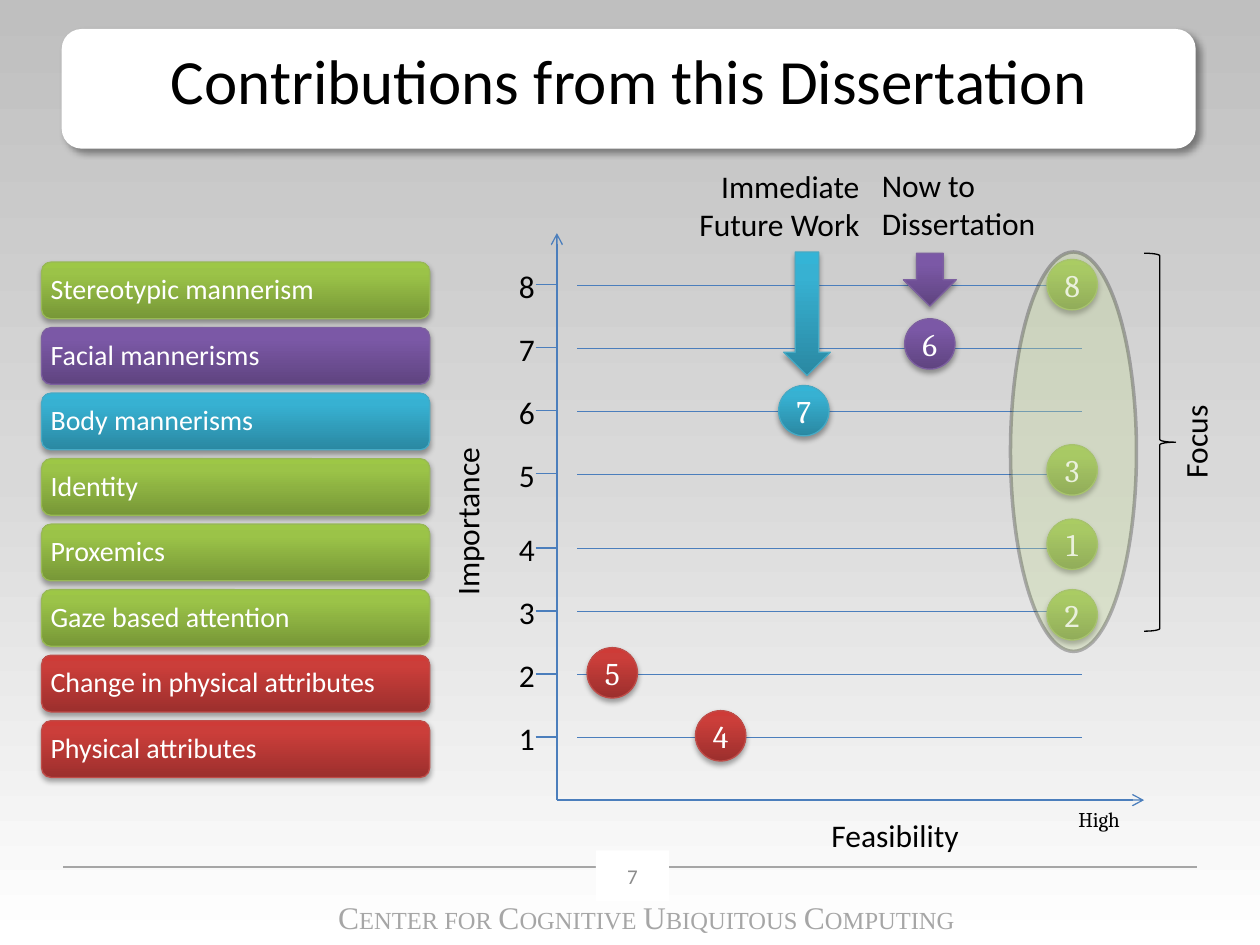
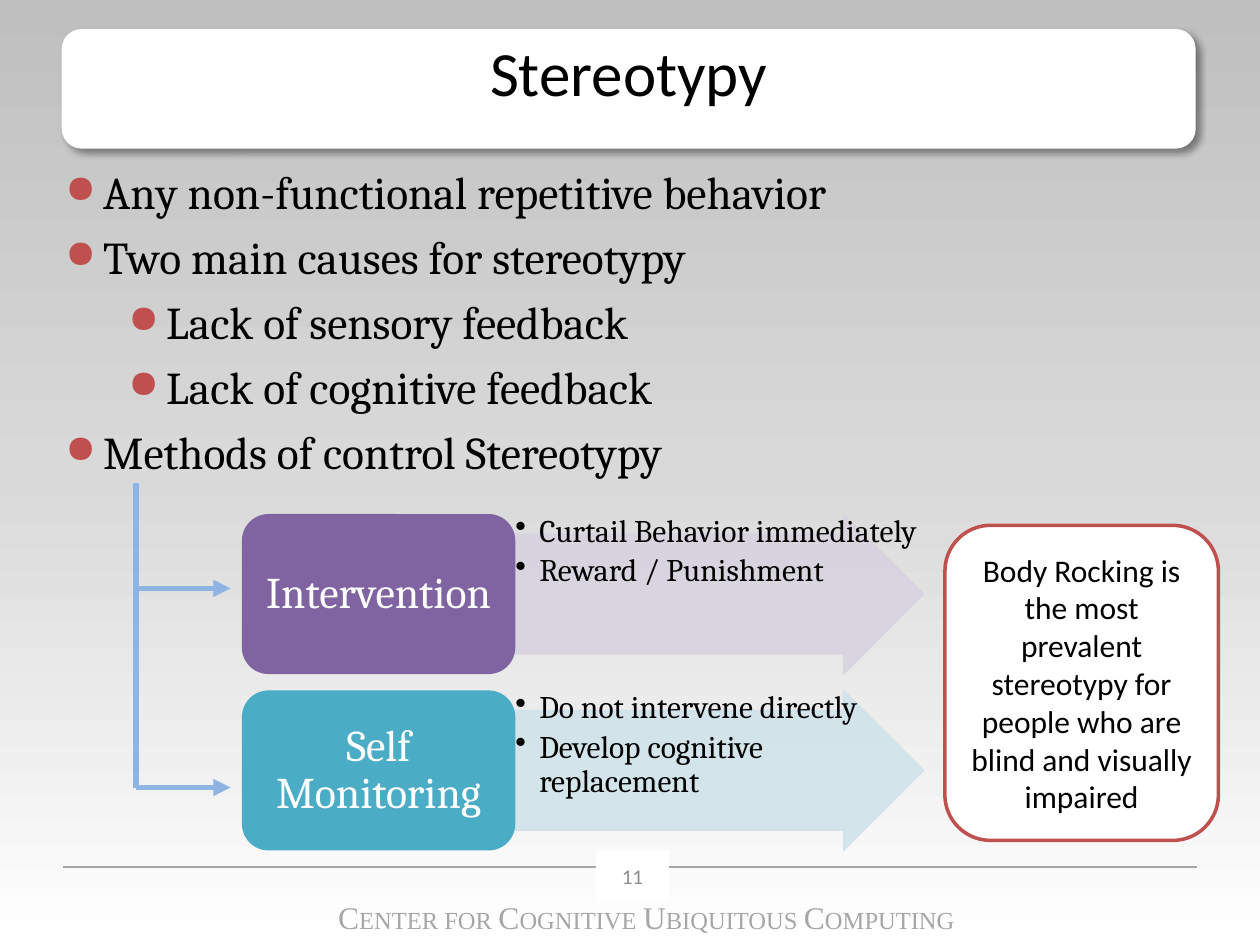
"""Build two dissertation slides: a contribution map and a stereotypy overview."""
from dataclasses import dataclass
from typing import NamedTuple, Optional

from lxml.etree import SubElement
from pptx import Presentation
from pptx.dml.color import RGBColor
from pptx.enum.dml import MSO_LINE
from pptx.enum.shapes import MSO_CONNECTOR, MSO_SHAPE as Shape
from pptx.enum.text import MSO_ANCHOR as Anchor, PP_ALIGN as Align
from pptx.oxml.ns import qn
from pptx.util import Emu, Inches, Pt

COLS, ROWS = 100, 75
WIDTH, HEIGHT = Inches(10), Inches(7.5)
COLORS = {
    "black": "000000", "white": "FFFFFF", "footer": "A6A6A6", "number": "8C8C8C",
    "back_top": "BFBFBF", "back_mid": "D9D9D9", "axis": "4B7EBC", "branch": "8EB4E3",
    "accent": "C0504D", "focus": "C3D69B", "violet": "8064A2", "aqua": "4BACC6",
    "violet_pale": "D8D3E0", "aqua_pale": "D0E3EA",
    "green_low": "779737", "green_mid": "9BC348", "green_high": "9DC746", "green_edge": "98B955",
    "purple_low": "5F4480", "purple_mid": "7B58A6", "purple_high": "7C57A8", "purple_edge": "7D60A0",
    "blue_low": "2A88A2", "blue_mid": "37B1D2", "blue_high": "34B4D6", "blue_edge": "46AAC5",
    "red_low": "9C2F2D", "red_mid": "CB3E3A", "red_high": "CE3B37", "red_edge": "BF4C48",
}


class Box(NamedTuple):
    left: float
    top: float
    width: float
    height: float


class Style(NamedTuple):
    size: float
    font: str = "Calibri"
    color: str = "black"
    align: Align = Align.LEFT
    anchor: Anchor = Anchor.TOP
    spacing: Optional[float] = None


class Shadow(NamedTuple):
    alpha: int
    blur: float
    distance: float
    angle: int


class Bullet(NamedTuple):
    char: str
    hang: float
    color: str = "black"
    percent: int = 100


class Marker(NamedTuple):
    label: str
    left: float
    top: float
    hue: str


@dataclass
class Method:
    name: str
    color: str
    points: list[str]


TITLE = Style(36, align=Align.CENTER)
NUMBER = Style(12, color="number", align=Align.CENTER, anchor=Anchor.MIDDLE)
LABEL = Style(18)
CARD = Style(16, color="white", anchor=Anchor.MIDDLE, spacing=0.9)
DIGIT = Style(18, "Cambria", "white", Align.CENTER, Anchor.MIDDLE)
METHOD = Style(25, "Cambria", "white", Align.CENTER, Anchor.MIDDLE, 0.9)
POINT = Style(18, "Cambria", spacing=0.9)
BODY = Style(26, "Cambria")
NOTE = Style(18, align=Align.CENTER, anchor=Anchor.MIDDLE)
BAND_SHADOW = Shadow(40, 4, 3, 45)
GLOSS_SHADOW = Shadow(35, 3.1, 1.8, 90)


def rgb(name: str) -> RGBColor:
    """Look a colour up by name."""
    return RGBColor.from_string(COLORS[name])


def col(n: float) -> Emu:
    """Turn columns into a length."""
    return Emu(round(n * WIDTH / COLS))


def row(n: float) -> Emu:
    """Turn rows into a length."""
    return Emu(round(n * HEIGHT / ROWS))


def place(box: Box) -> tuple:
    """Turn a grid box into slide lengths."""
    return col(box.left), row(box.top), col(box.width), row(box.height)


def set_gradient(fill, root, stops: list, angle: int) -> None:
    """Give a fill the listed (percent, colour) stops."""
    fill.gradient()
    fill.gradient_angle = angle
    stop_list = next(root.iter(qn("a:gsLst")))
    stop_list.clear()
    for percent, name in stops:
        stop = SubElement(stop_list, qn("a:gs"), pos=str(percent * 1000))
        SubElement(stop, qn("a:srgbClr"), val=COLORS[name])


def add_shape(s, kind: Shape, box: Box, fill: str = "", line: str = "",
              width: float = 0.75, shadow: Optional[Shadow] = None):
    """Draw a preset shape with a plain fill, line and shadow."""
    sp = s.shapes.add_shape(kind, *place(box))
    sp.shadow.inherit = False
    if fill:
        sp.fill.solid()
        sp.fill.fore_color.rgb = rgb(fill)
    else:
        sp.fill.background()
    if line:
        sp.line.color.rgb = rgb(line)
        sp.line.width = Pt(width)
    else:
        sp.line.fill.background()
    if shadow:
        effects = sp._element.spPr.find(qn("a:effectLst"))
        outer = SubElement(effects, qn("a:outerShdw"), blurRad=str(Pt(shadow.blur)),
                           dist=str(Pt(shadow.distance)), dir=str(shadow.angle * 60000),
                           rotWithShape="0")
        tint = SubElement(outer, qn("a:srgbClr"), val=COLORS["black"])
        SubElement(tint, qn("a:alpha"), val=str(shadow.alpha * 1000))
    return sp


def add_glossy(s, kind: Shape, box: Box, hue: str):
    """Draw a shaded shape in one hue."""
    sp = add_shape(s, kind, box, line=f"{hue}_edge", shadow=GLOSS_SHADOW)
    stops = [(0, f"{hue}_low"), (80, f"{hue}_mid"), (100, f"{hue}_high")]
    set_gradient(sp.fill, sp._element, stops, 90)
    return sp


def set_alpha(sp, *percents: int) -> None:
    """Set the opacity of the fill and then the line."""
    for tint, percent in zip(sp._element.spPr.iter(qn("a:srgbClr")), percents):
        SubElement(tint, qn("a:alpha"), val=str(percent * 1000))


def set_text(sp, text: str, style: Style, margins: tuple = (1, 0.5), wrap: bool = True) -> None:
    """Write styled text, one paragraph a line, into a shape."""
    tf = sp.text_frame
    tf.text = text
    tf.word_wrap = wrap
    tf.vertical_anchor = style.anchor
    tf.margin_left = tf.margin_right = col(margins[0])
    tf.margin_top = tf.margin_bottom = row(margins[1])
    for p in tf.paragraphs:
        p.alignment = style.align
        if style.spacing:
            p.line_spacing = style.spacing
        for r in p.runs:
            r.font.size, r.font.name = Pt(style.size), style.font
            r.font.color.rgb = rgb(style.color)


def add_text(s, box: Box, text: str, style: Style, margins: tuple = (1, 0.5),
             wrap: bool = True, rotation: int = 0):
    """Add a text box."""
    sp = s.shapes.add_textbox(*place(box))
    sp.rotation = rotation
    set_text(sp, text, style, margins, wrap)
    return sp


def add_bullet(p, bullet: Bullet, indent: float) -> None:
    """Hang a bullet in front of a paragraph."""
    pPr = p._p.get_or_add_pPr()
    pPr.set("marL", str(col(indent)))
    pPr.set("indent", str(-col(bullet.hang)))
    SubElement(SubElement(pPr, qn("a:buClr")), qn("a:srgbClr"), val=COLORS[bullet.color])
    SubElement(pPr, qn("a:buSzPct"), val=str(bullet.percent * 1000))
    SubElement(pPr, qn("a:buChar"), char=bullet.char)


def add_line(s, start: tuple, end: tuple, color: str, width: float = 0.75,
             head: str = "", dotted: bool = False) -> None:
    """Draw a straight line, with an arrowhead if one is named."""
    cx = s.shapes.add_connector(MSO_CONNECTOR.STRAIGHT, col(start[0]), row(start[1]),
                                col(end[0]), row(end[1]))
    cx.line.color.rgb = rgb(color)
    cx.line.width = Pt(width)
    if dotted:
        cx.line.dash_style = MSO_LINE.ROUND_DOT
    if head:
        SubElement(cx.line._get_or_add_ln(), qn("a:tailEnd"), type=head)
    SubElement(cx._element.spPr, qn("a:effectLst"))


def add_base(prs, title: str, title_top: float, number: int):
    """Add a slide with its background, title band and footer."""
    s = prs.slides.add_slide(prs.slide_layouts[6])
    stops = [(0, "back_top"), (50, "back_mid"), (100, "white")]
    set_gradient(s.background.fill, s._element, stops, 270)
    add_shape(s, Shape.ROUNDED_RECTANGLE, Box(4.9, 2.3, 90, 9.5), "white", shadow=BAND_SHADOW)
    add_text(s, Box(4.9, title_top, 90, 9), title, TITLE)
    add_line(s, (5, 68.8), (95, 68.8), "footer")
    footer = add_text(s, Box(21.7, 70.8, 59.2, 4), "", LABEL)
    p = footer.text_frame.paragraphs[0]
    p.alignment = Align.CENTER
    for words in ("CENTER FOR ", "COGNITIVE ", "UBIQUITOUS ", "COMPUTING"):
        for part, size in ((words[0], 18), (words[1:], 14)):
            r = p.add_run()
            r.text = part
            r.font.size, r.font.name = Pt(size), "Times New Roman"
            r.font.color.rgb = rgb("footer")
    set_text(add_shape(s, Shape.RECTANGLE, Box(47.3, 67.5, 5.8, 4), "white"), str(number), NUMBER)
    return s


def build_contributions(prs) -> None:
    """Map the contributions by importance and feasibility."""
    s = add_base(prs, "Contributions from this Dissertation", 2.8, 7)
    origin = (44.2, 63.5)
    for end in ((90.8, 63.5), (44.2, 18.5)):
        add_line(s, origin, end, "axis", head="arrow")
    add_text(s, Box(65, 64.3, 12.2, 4), "Feasibility", LABEL, wrap=False)
    add_text(s, Box(30.1, 39.3, 13.9, 4), "Importance", LABEL, wrap=False, rotation=270)
    add_text(s, Box(84.6, 63.5, 5.4, 3), "High", Style(12, "Cambria"), wrap=False)
    for level in range(1, 9):
        y = 63.5 - 5 * level - (0.9 if level > 4 else 0)
        add_line(s, (42.5, y), (44.2, y), "axis")
        add_line(s, (45.8, y), (85.8, y), "axis", 0.25, dotted=True)
        add_text(s, Box(40.2, y - 1.9, 3.3, 4), str(level), LABEL, wrap=False)

    markers = [Marker("8", 83.1, 20.6, "green"), Marker("2", 83.1, 46.8, "green"),
               Marker("7", 61.8, 30.6, "blue"), Marker("3", 83.1, 35.3, "green"),
               Marker("6", 71.8, 25.3, "purple"), Marker("4", 55.2, 56.4, "red"),
               Marker("1", 83.1, 41.2, "green"), Marker("5", 46.6, 51.4, "red")]
    for m in markers:
        sp = add_glossy(s, Shape.OVAL, Box(m.left, m.top, 4, 4), m.hue)
        set_text(sp, m.label, DIGIT, (0, 0), wrap=False)

    cards = [("Stereotypic mannerism", "green"), ("Facial mannerisms", "purple"),
             ("Body mannerisms", "blue"), ("Identity", "green"), ("Proxemics", "green"),
             ("Gaze based attention", "green"), ("Change in physical attributes", "red"),
             ("Physical attributes", "red")]
    for i, (text, hue) in enumerate(cards):
        sp = add_glossy(s, Shape.ROUNDED_RECTANGLE, Box(3.3, 20.8 + 5.2 * i, 30.8, 4.5), hue)
        set_text(sp, text, CARD, (0.5, 0.5))

    add_shape(s, Shape.RIGHT_BRACE, Box(90.8, 20.1, 2.5, 30), line="black")
    add_text(s, Box(90.9, 33, 7.9, 4), "Focus", LABEL, wrap=False, rotation=270)
    set_alpha(add_shape(s, Shape.OVAL, Box(80.2, 20, 10, 31.7), "focus", "black", 2), 35, 26)
    add_glossy(s, Shape.DOWN_ARROW, Box(71.7, 20.1, 4.2, 4.2), "purple")
    add_text(s, Box(69, 12.7, 15, 7.1), "Now to Dissertation", LABEL)
    add_glossy(s, Shape.DOWN_ARROW, Box(62.2, 20, 3.7, 9.8), "blue")
    add_text(s, Box(54.2, 12.8, 15, 7.1), "Immediate Future Work", LABEL._replace(align=Align.RIGHT))


def build_stereotypy(prs) -> None:
    """Explain stereotypy and the ways to control it."""
    s = add_base(prs, "Stereotypy", 2.2, 11)
    outline = [("Any non-functional repetitive behavior", 3), ("Two main causes for stereotypy", 3),
               ("Lack of sensory feedback", 8), ("Lack of cognitive feedback", 8),
               ("Methods of control Stereotypy", 3)]
    body = add_text(s, Box(4.2, 12.5, 90.8, 27.5), "\n".join(text for text, _ in outline), BODY)
    for i, (p, (_, indent)) in enumerate(zip(body.text_frame.paragraphs, outline)):
        add_bullet(p, Bullet("●", 3, "accent", 85), indent)
        p.space_before = Pt(6 if i else 0)

    methods = [Method("Intervention", "violet", ["Curtail Behavior immediately", "Reward / Punishment"]),
               Method("Self Monitoring", "aqua",
                      ["Do not intervene directly", "Develop cognitive replacement"])]
    for i, method in enumerate(methods):
        top, pale = 40.8 + 14 * i, f"{method.color}_pale"
        box = Box(40.8, top, 32.5, 12.7)
        arrow = add_shape(s, Shape.RIGHT_ARROW, box, pale, pale)
        arrow.adjustments[0] = 0.75
        set_alpha(arrow, 90, 90)
        points = add_text(s, box, "\n".join(method.points), POINT, (0.1, 0.1))
        for p in points.text_frame.paragraphs:
            add_bullet(p, Bullet("•", 1.9), 1.9)
            p.space_after = Pt(3)
        card = add_shape(s, Shape.ROUNDED_RECTANGLE, Box(19.2, top, 21.7, 12.7), method.color)
        set_text(card, method.name, METHOD, (0.3, 0.3))

    add_line(s, (10.8, 38.3), (10.8, 62.5), "branch", 3.25)
    for y in (46.7, 62.5):
        add_line(s, (10.8, y), (18.3, y), "branch", 3.25, "triangle")
    note = add_shape(s, Shape.ROUNDED_RECTANGLE, Box(75, 41.7, 21.7, 25), "white", "accent", 2)
    set_text(note, "Body Rocking is the most prevalent stereotypy for people who are "
                   "blind and visually impaired", NOTE)


def main() -> None:
    """Build and save the slides."""
    prs = Presentation()
    prs.slide_width, prs.slide_height = WIDTH, HEIGHT
    build_contributions(prs)
    build_stereotypy(prs)
    prs.save("out.pptx")


if __name__ == "__main__":
    main()
